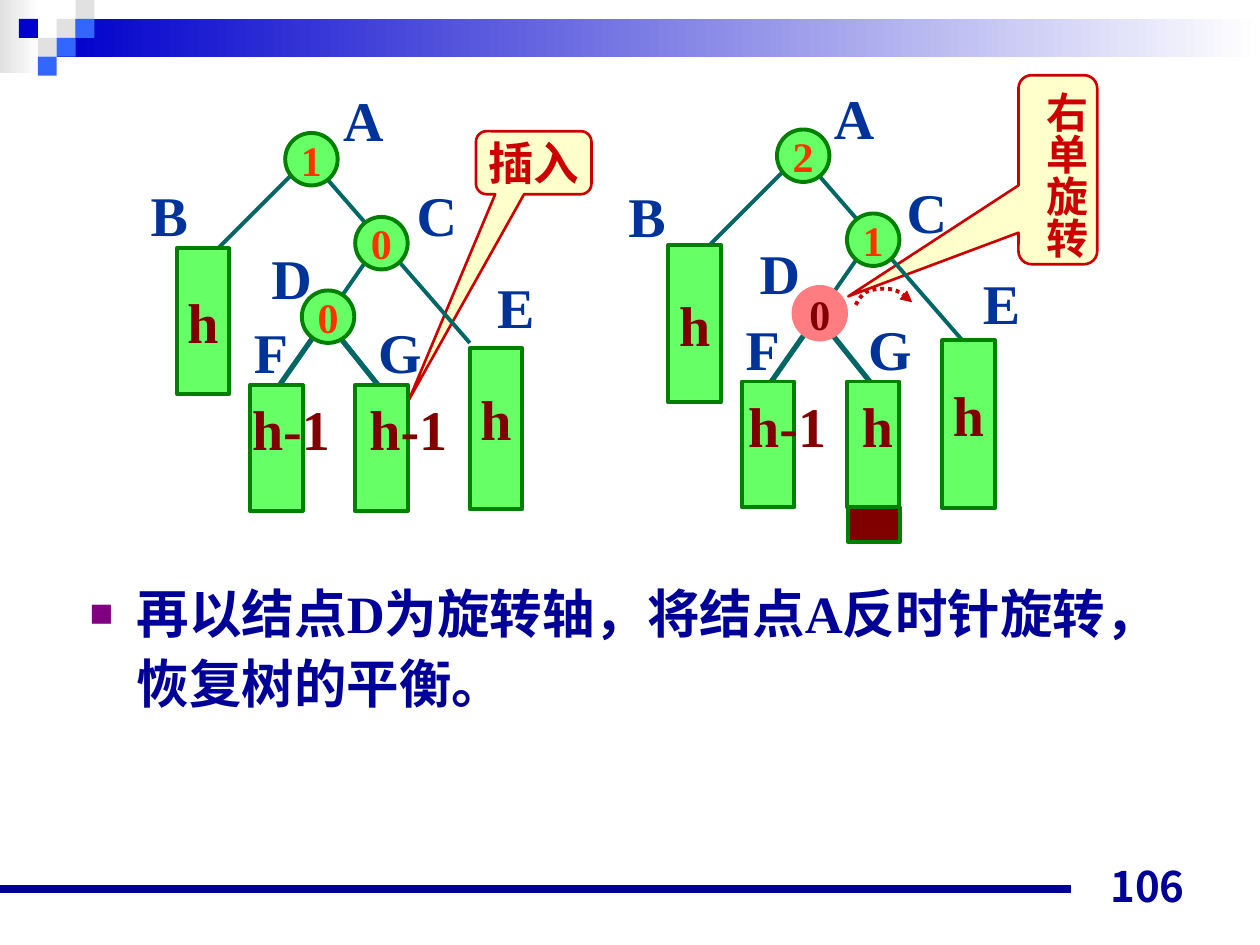
from lxml import etree
from pptx import Presentation
from pptx.dml.color import RGBColor
from pptx.enum import dml, shapes, text
from pptx.oxml import ns
from pptx.util import Pt

WHITE = RGBColor(0xFF, 0xFF, 0xFF)
GREY = RGBColor(0xE1, 0xE1, 0xE1)
BAR_BLUE = RGBColor(0x00, 0x00, 0xCC)
SKY = RGBColor(0x33, 0x66, 0xFF)
NAVY = RGBColor(0x00, 0x00, 0x99)
LABEL_BLUE = RGBColor(0x00, 0x33, 0x99)
TEAL = RGBColor(0x00, 0x66, 0x66)
GREEN = RGBColor(0x66, 0xFF, 0x66)
DARK_GREEN = RGBColor(0x00, 0x80, 0x00)
MAROON = RGBColor(0x80, 0x00, 0x00)
ORANGE = RGBColor(0xFF, 0x33, 0x00)
PINK = RGBColor(0xFF, 0x7C, 0x80)
RED = RGBColor(0xCC, 0x00, 0x00)
CREAM = RGBColor(0xFF, 0xFF, 0xCC)
SERIF = "Times New Roman"
SANS = "Noto Sans CJK JP"

NODE_SIZE = 30
NODES = {"A": (84, 33), "C": (124, 81), "D": (93.5, 123)}
EDGES = [
    ((88, 56.5), (34, 110.5), 2.25),
    ((105.5, 56.5), (189.5, 153), 2.25),
    ((131, 105), (106, 141), 2.25),
    ((106, 141), (78, 181), 3),
    ((113, 147), (137, 177), 3),
]
ROTATION_CURVE = [
    ((129, 133.2), (130.3, 130.3), (132.5, 127.5), (134.6, 126)),
    ((134.6, 126), (137.5, 124.6), (141, 124), (144, 124)),
    ((144, 124), (147, 124), (149.8, 124), (152.6, 125.3)),
    ((152.6, 125.3), (155.5, 126), (159.8, 131), (161.3, 131.8)),
]


def add_child(parent, tag, **attributes):
    """Append a drawing element with the given attributes."""
    return etree.SubElement(parent, ns.qn(tag), attributes)


def add_run(paragraph, wording, size, color, font=SERIF):
    """Add one bold run to a paragraph."""
    run = paragraph.add_run()
    run.text = wording
    run.font.size, run.font.bold, run.font.name = Pt(size), True, font
    run.font.color.rgb = color
    return run


def add_block(slide, kind, box, fill, outline=None, width=2.25):
    """Add a preset shape with a plain fill and an optional outline."""
    block = slide.shapes.add_shape(kind, *map(Pt, box))
    block.shadow.inherit = False
    block.fill.solid()
    block.fill.fore_color.rgb = fill
    if outline is None:
        block.line.fill.background()
    else:
        block.line.color.rgb = outline
        block.line.width = Pt(width)
    return block


def write_centred(block, wording, size, color):
    """Write one centred, unwrapped line inside a shape."""
    frame = block.text_frame
    frame.word_wrap = False
    frame.margin_left = frame.margin_right = frame.margin_top = frame.margin_bottom = 0
    frame.vertical_anchor = text.MSO_ANCHOR.MIDDLE
    paragraph = frame.paragraphs[0]
    paragraph.alignment = text.PP_ALIGN.CENTER
    add_run(paragraph, wording, size, color)
    return paragraph


def add_label(slide, left, top, wording, color):
    """Add a free-standing tree label."""
    label = slide.shapes.add_textbox(Pt(left), Pt(top), Pt(25 + 14 * len(wording)), Pt(46))
    label.text_frame.word_wrap = False
    add_run(label.text_frame.paragraphs[0], wording, 32, color)


def add_rule(slide, start, end, color, width):
    """Add a straight line without a shadow."""
    rule = slide.shapes.add_connector(shapes.MSO_CONNECTOR.STRAIGHT, *map(Pt, (*start, *end)))
    rule.line.color.rgb = color
    rule.line.width = Pt(width)
    add_child(rule._element.spPr, "a:effectLst")


def add_header(slide, left, top):
    """Draw the gradient bar and its chequered corner."""
    for box, start in (((0, 0, 22.5, 42), GREY), ((32.4, 10.8, 687.6, 21.6), BAR_BLUE)):
        band = add_block(slide, shapes.MSO_SHAPE.RECTANGLE,
                         (left + box[0], top + box[1], *box[2:]), start)
        band.fill.gradient()
        band.fill.gradient_angle = 0
        for stop, color in zip(band.fill.gradient_stops, (start, WHITE)):
            stop.color.rgb = color
    cell = 10.8
    for column, row, color in ((3, 1, GREY), (4, 0, GREY), (4, 1, SKY), (2, 2, GREY),
                               (1, 1, BAR_BLUE), (3, 2, SKY), (2, 3, SKY)):
        add_block(slide, shapes.MSO_SHAPE.RECTANGLE,
                  (left + column * cell, top + row * cell, cell, cell), color)


def add_callout(slide, box, tip):
    """Add a rounded callout whose pointer ends at the tip offset."""
    callout = add_block(slide, shapes.MSO_SHAPE.ROUNDED_RECTANGULAR_CALLOUT, box, CREAM, RED, 1.5)
    callout.adjustments[0], callout.adjustments[1] = tip
    return callout


def add_insert_callout(slide, left, top):
    """Add the callout marking the insertion point."""
    callout = add_callout(slide, (left, top, 66, 36), (-1.08, 3.76))
    write_centred(callout, "插入", 26, RED)


def add_rotation_callout(slide, left, top):
    """Add the callout with vertical text naming the rotation."""
    callout = add_callout(slide, (left, top, 45, 108), (-2.66, 0.67))
    paragraph = write_centred(callout, "右单旋转", 24, RED)
    paragraph.alignment = text.PP_ALIGN.LEFT
    frame = callout.text_frame
    frame.vertical_anchor = text.MSO_ANCHOR.TOP
    frame.margin_top, frame.margin_right = Pt(7), Pt(1)
    frame._txBody.bodyPr.set("vert", "eaVert")


def add_tree(slide, left, top, balances, leaves, labels, heights):
    """Draw a tree: edges, balance nodes, subtree bars and letters."""
    for start, end, width in EDGES:
        add_rule(slide, (left + start[0], top + start[1]),
                 (left + end[0], top + end[1]), TEAL, width)
    for x, y, height, inner in leaves:
        bar = add_block(slide, shapes.MSO_SHAPE.RECTANGLE,
                        (left + x, top + y, NODE_SIZE, height), GREEN, DARK_GREEN)
        if inner:
            write_centred(bar, "h", 32, MAROON).line_spacing = inner
    for name, (balance, fill, outline, color) in balances.items():
        x, y = NODES[name]
        node = add_block(slide, shapes.MSO_SHAPE.OVAL,
                         (left + x, top + y, NODE_SIZE, NODE_SIZE), fill, outline)
        write_centred(node, balance, 24, color)
    for name, (x, y) in labels.items():
        add_label(slide, left + x, top + y, name, LABEL_BLUE)
    for wording, x in heights:
        add_label(slide, left + x, top + 179, wording, MAROON)


def add_rotation_arrow(slide, left, top):
    """Draw the dotted curved arrow beside node D."""
    points = [ROTATION_CURVE[0][0]]
    for a, b, c, d in ROTATION_CURVE:
        for t in (0.25, 0.5, 0.75, 1):
            s = 1 - t
            points.append(tuple(s**3 * a[i] + 3 * s * s * t * b[i] + 3 * s * t * t * c[i]
                                + t**3 * d[i] for i in (0, 1)))
    points = [(Pt(left + x), Pt(top + y)) for x, y in points]
    builder = slide.shapes.build_freeform(*points[0])
    builder.add_line_segments(points[1:], close=False)
    arrow = builder.convert_to_shape()
    arrow.shadow.inherit = False
    arrow.fill.background()
    arrow.line.color.rgb = RED
    arrow.line.width = Pt(2.25)
    arrow.line.dash_style = dml.MSO_LINE.ROUND_DOT
    add_child(arrow.line._get_or_add_ln(), "a:tailEnd", type="triangle")


def add_explanation(slide, left, top, width, height):
    """Fill the body placeholder with the rotation step."""
    body = slide.placeholders[1]
    body.left, body.top, body.width, body.height = map(Pt, (left, top, width, height))
    body.text_frame.auto_size = text.MSO_AUTO_SIZE.NONE
    paragraph = body.text_frame.paragraphs[0]
    paragraph.line_spacing, paragraph.space_before = 1.1, Pt(0)
    properties = paragraph._p.get_or_add_pPr()
    properties.set("marL", str(Pt(27)))
    properties.set("indent", str(-Pt(27)))
    add_child(add_child(properties, "a:buClr"), "a:srgbClr", val="800080")
    add_child(properties, "a:buSzPct", val="75000")
    add_child(properties, "a:buChar", char="■")
    add_run(paragraph, "再以结点D为旋转轴，将结点A反时针旋转，", 30, NAVY)
    gap = add_run(paragraph, " ", 30, NAVY)
    gap.font._element.set("spc", "1500")
    add_run(paragraph, "恢复树的平衡。", 30, NAVY)


def add_footer(slide, left, top):
    """Draw the bottom rule and the page number."""
    add_rule(slide, (left, top + 20), (left + 612, top + 20), NAVY, 4.5)
    number = slide.shapes.add_textbox(Pt(left + 516), Pt(top), Pt(168), Pt(36))
    number.text_frame.word_wrap = True
    number.text_frame.vertical_anchor = text.MSO_ANCHOR.BOTTOM
    paragraph = number.text_frame.paragraphs[0]
    paragraph.alignment = text.PP_ALIGN.RIGHT
    add_run(paragraph, "106", 24, NAVY, SANS)


def main():
    """Build and save the slide."""
    deck = Presentation()
    deck.slide_width, deck.slide_height = Pt(720), Pt(540)
    slide = deck.slides.add_slide(deck.slide_layouts[1])
    title = slide.shapes.title._element
    title.getparent().remove(title)
    add_header(slide, 0, 0)

    plain = (GREEN, DARK_GREEN, ORANGE)
    add_insert_callout(slide, 272, 75)
    add_tree(slide, 79, 43,
             {"A": ("1", *plain), "C": ("0", *plain), "D": ("0", *plain)},
             [(22, 99, 83, 1), (189.5, 156, 92, 0.6), (64, 177, 72, None), (124, 177, 72, None)],
             {"A": (110, 2.5), "B": (0, 56.5), "C": (152, 56.5), "D": (69, 92.5),
              "E": (198, 109), "F": (59, 135), "G": (130, 135)},
             [("h-1", 58), ("h-1", 125)])

    left, top = 360, 41
    add_rotation_callout(slide, 582, 43)
    add_tree(slide, left, top,
             {"A": ("2", *plain), "C": ("1", *plain), "D": ("0", PINK, PINK, MAROON)},
             [(22, 99, 90, 1), (178.5, 153.5, 96, 0.6), (64, 177, 72, None), (124, 177, 72, None)],
             {"A": (109.5, 3), "B": (-8, 59), "C": (151, 57), "D": (67, 91.5),
              "E": (194.5, 109), "F": (59, 135), "G": (129, 135)},
             [("h-1", 60.5), ("h", 125.5)])
    add_block(slide, shapes.MSO_SHAPE.RECTANGLE, (left + 124.5, top + 249, NODE_SIZE, 19.5),
              MAROON, DARK_GREEN)
    add_rotation_arrow(slide, left, top)

    add_explanation(slide, 44, 325, 648, 188)
    add_footer(slide, 0, 488)
    deck.save("out.pptx")


if __name__ == "__main__":
    main()
